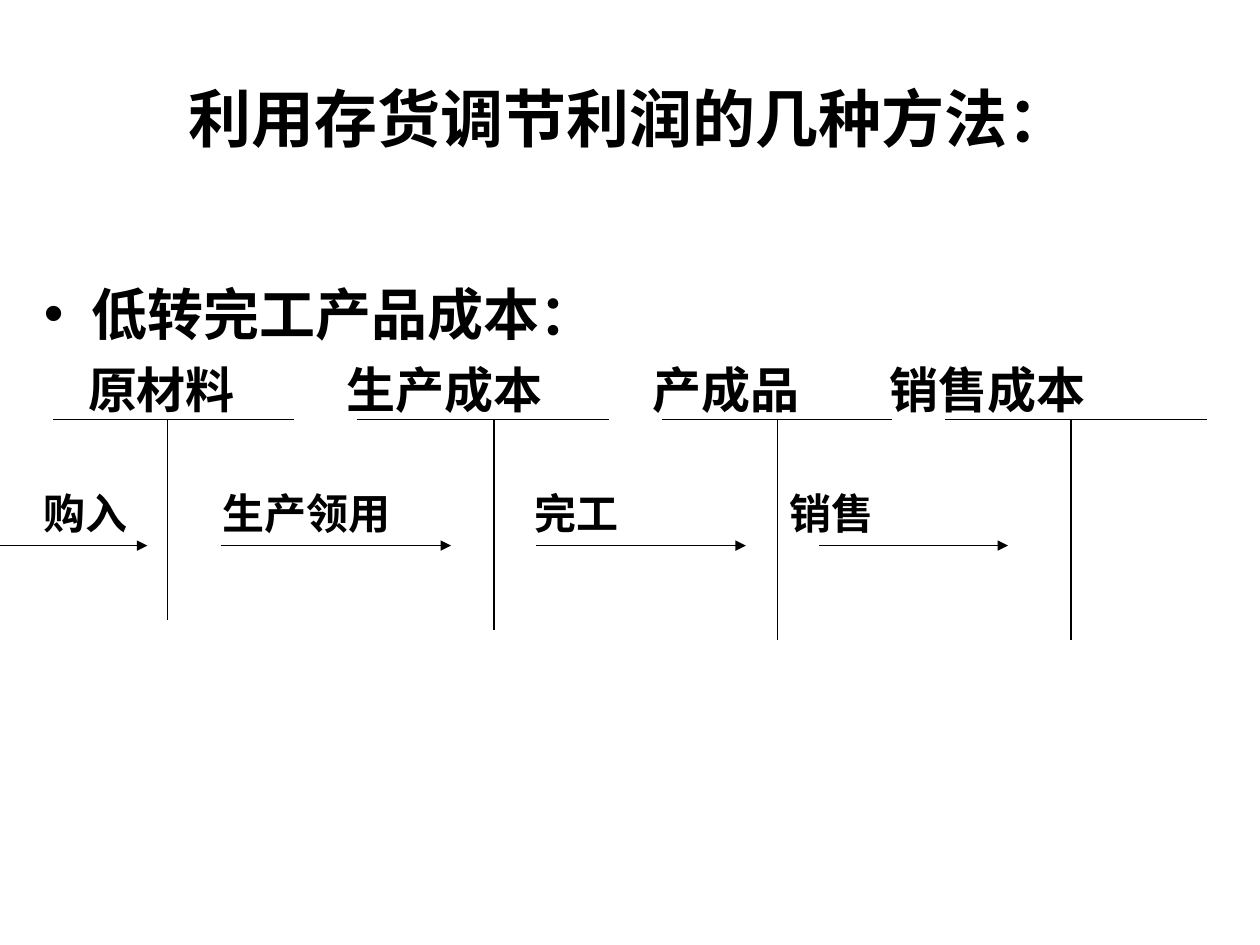
from lxml import etree
from pptx import Presentation
from pptx import util as u
from pptx.dml.color import RGBColor
from pptx.enum import shapes, text
from pptx.oxml.ns import qn

COLORS = {"ink": "000000", "paper": "FFFFFF"}
BAR_Y, FLOW_Y = 3.33, 4.33
# Left and right end of the bar, stem position, stem bottom
ACCOUNTS = [
    (0.42, 2.33, 1.33, 4.92),
    (2.83, 4.83, 3.92, 5),
    (5.25, 7.08, 6.17, 5.08),
    (7.5, 9.58, 8.5, 5.08),
]
FLOWS = [(0, 1.17), (1.75, 3.58), (4.25, 5.92), (6.5, 8)]


class SlideBuilder:
    def __init__(self, slide):
        self.slide = slide
        self.font = "Arial"
        slide.background.fill.solid()
        slide.background.fill.fore_color.rgb = self.color("paper")

    def color(self, name):
        return RGBColor.from_string(COLORS[name])

    def text_frame(self, left, top, width, height, anchor=text.MSO_ANCHOR.TOP):
        box = self.slide.shapes.add_textbox(*map(u.Inches, (left, top, width, height)))
        frame = box.text_frame
        frame.word_wrap = True
        frame.vertical_anchor = anchor
        return frame

    def add_words(self, para, words, size, before=0):
        para.space_before = u.Pt(before)
        span = para.add_run()
        span.text = words
        span.font.size = u.Pt(size)
        span.font.name = self.font
        span.font.bold = True
        span.font.color.rgb = self.color("ink")

    def bullet(self, para, indent):
        props = para._p.get_or_add_pPr()
        props.set("marL", str(u.Inches(indent)))
        props.set("indent", str(-u.Inches(indent)))
        etree.SubElement(props, qn("a:buFont"), typeface=self.font)
        etree.SubElement(props, qn("a:buChar"), char="•")

    def tabs(self, para, stops):
        """Set left tab stops, in inches from the left edge of the text."""
        tab_list = etree.SubElement(para._p.get_or_add_pPr(), qn("a:tabLst"))
        for stop in stops:
            etree.SubElement(tab_list, qn("a:tab"), pos=str(u.Inches(stop)), algn="l")

    def line(self, x1, y1, x2, y2, arrow=False):
        connector = self.slide.shapes.add_connector(
            shapes.MSO_CONNECTOR.STRAIGHT, *map(u.Inches, (x1, y1, x2, y2)))
        connector.line.width = u.Pt(0.75)
        connector.line.color.rgb = self.color("ink")
        if arrow:
            etree.SubElement(connector.line._get_or_add_ln(), qn("a:tailEnd"), type="triangle")
        etree.SubElement(connector._element.spPr, qn("a:effectLst"))


def main():
    deck = Presentation()
    deck.slide_width, deck.slide_height = u.Inches(10), u.Inches(7.5)
    page = SlideBuilder(deck.slides.add_slide(deck.slide_layouts[6]))

    title = page.text_frame(0.5, 0.65, 9, 0.56, text.MSO_ANCHOR.MIDDLE).paragraphs[0]
    title.alignment = text.PP_ALIGN.CENTER
    page.add_words(title, "利用存货调节利润的几种方法：", 36)

    body = page.text_frame(0.25, 2.17, 9.42, 4.67)
    heading = body.paragraphs[0]
    page.bullet(heading, 0.38)
    page.add_words(heading, "低转完工产品成本：", 32)

    accounts = body.add_paragraph()
    page.tabs(accounts, [0.35, 2.4, 4.83, 6.71])
    page.add_words(accounts, "\t原材料\t生产成本\t产成品\t销售成本", 28, before=7)

    flows = body.add_paragraph()
    page.tabs(flows, [1.42, 3.89, 5.92])
    page.add_words(flows, "购入\t生产领用\t完工\t销售", 24, before=40)

    for left, right, stem, bottom in ACCOUNTS:
        page.line(left, BAR_Y, right, BAR_Y)
        page.line(stem, BAR_Y, stem, bottom)
    for start, end in FLOWS:
        page.line(start, FLOW_Y, end, FLOW_Y, arrow=True)

    deck.save("out.pptx")


if __name__ == "__main__":
    main()
